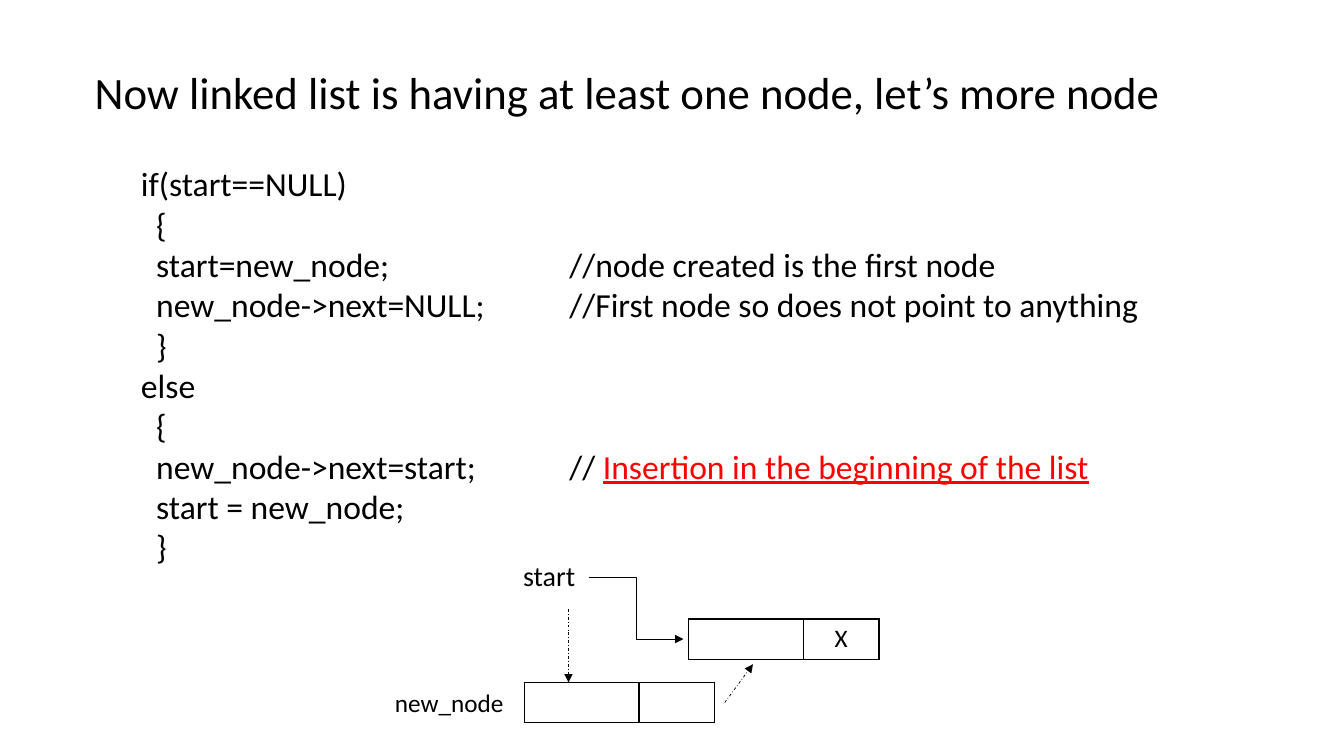
from pptx import Presentation
from pptx.dml.color import RGBColor as RGB
from pptx.enum.dml import MSO_LINE as Dash
from pptx.enum.shapes import MSO_CONNECTOR as Link
from pptx.enum.text import MSO_ANCHOR as Anchor, PP_ALIGN as Align
from pptx.oxml.ns import qn
from pptx.util import Inches, Pt
from lxml.etree import SubElement as Sub

COLORS = {"ink": "000000", "mark": "FF0000"}
FONT = "Calibri"
WIDE, HIGH = 133.33, 75
NODE = (11.4, 7.5)
ROW = 4
TAB = 42.5

CODE = [
    "if(start==NULL)",
    "  {",
    "  start=new_node;\t//node created is the first node",
    "  new_node->next=NULL;\t//First node so does not point to anything",
    "  }",
    "else",
    "  {",
    "  new_node->next=start;\t// ",
    "  start = new_node;",
    "  }",
]
NOTES = {7: "Insertion in the beginning of the list"}


def grid(*cells):
    return [Inches(cell / 10) for cell in cells]


def write(para, text, size=18, color="ink", under=None):
    run = para.add_run()
    run.text = text
    font = run.font
    font.name, font.size, font.underline = FONT, Pt(size), under
    font.color.rgb = RGB.from_string(COLORS[color])


def frame(slide, box):
    text = slide.shapes.add_textbox(*grid(*box)).text_frame
    text.word_wrap = True
    return text


def label(slide, box, text, size):
    write(frame(slide, box).paragraphs[0], text, size)


def listing(slide, box):
    text = frame(slide, box)
    for i, line in enumerate(CODE):
        para = text.paragraphs[0] if i == 0 else text.add_paragraph()
        if "\t" in line:
            tabs = Sub(para._p.get_or_add_pPr(), qn("a:tabLst"))
            Sub(tabs, qn("a:tab"), pos=str(grid(TAB)[0]), algn="l")
        write(para, line, 24)
        if i in NOTES:
            write(para, NOTES[i], 24, "mark", True)


def border(cell):
    props = cell._tc.get_or_add_tcPr()
    for side in ("lnL", "lnR", "lnT", "lnB"):
        line = Sub(props, qn("a:" + side), w=str(Pt(1)))
        fill = Sub(line, qn("a:solidFill"))
        Sub(fill, qn("a:srgbClr"), val=COLORS["ink"])
    cell.fill.background()


def node(slide, x, y, texts):
    spot = grid(x, y, sum(NODE), ROW)
    table = slide.shapes.add_table(1, len(NODE), *spot).table
    table.first_row = table.horz_banding = False
    for i, (width, text) in enumerate(zip(NODE, texts)):
        table.columns[i].width = grid(width)[0]
        cell = table.cell(0, i)
        border(cell)
        cell.margin_top = cell.margin_bottom = grid(0.4)[0]
        cell.vertical_anchor = Anchor.MIDDLE
        para = cell.text_frame.paragraphs[0]
        para.font.size = Pt(18)
        if text:
            para.alignment = Align.CENTER
            write(para, text)


def arrow(slide, ends, kind=Link.STRAIGHT, dash=None):
    link = slide.shapes.add_connector(kind, *grid(*ends))
    line = link.line
    line.width = Pt(0.5)
    line.color.rgb = RGB.from_string(COLORS["ink"])
    if dash:
        line.dash_style = dash
    Sub(line._get_or_add_ln(), qn("a:tailEnd"), type="triangle")
    Sub(link._element.spPr, qn("a:effectLst"))


def diagram(slide, box):
    x, y, wide, high = box
    old = (x + wide - sum(NODE), y + 6.5)
    new = (x + 13.8, y + high - ROW)
    mid = old[1] + ROW / 2
    drop = x + 18.2
    node(slide, *old, ("", "X"))
    label(slide, (x + 12.7, y, 12.2, 4.4), "start", 20)
    arrow(slide, (x + 20.2, y + 2.4, old[0] - 0.5, mid), Link.ELBOW)
    label(slide, (x, new[1], 18.2, ROW), "new_node", 18)
    node(slide, *new, ("", ""))
    rise = (new[0] + sum(NODE) + 1, new[1] + ROW / 2)
    arrow(slide, (*rise, old[0] + 6.4, old[1] + ROW + 0.5), dash=Dash.DASH_DOT)
    arrow(slide, (drop, y + 5.5, drop, new[1]), dash=Dash.DASH_DOT)


def main():
    deck = Presentation()
    deck.slide_width, deck.slide_height = grid(WIDE, HIGH)
    slide = deck.slides.add_slide(deck.slide_layouts[6])
    title = "Now linked list is having at least one node, let’s more node"
    label(slide, (8.4, 5.9, 117.2, 6.4), title, 32)
    listing(slide, (13, 15.7, 103.1, 45.4))
    diagram(slide, (38.2, 54.9, 49, 16.8))
    deck.save("out.pptx")


if __name__ == "__main__":
    main()
